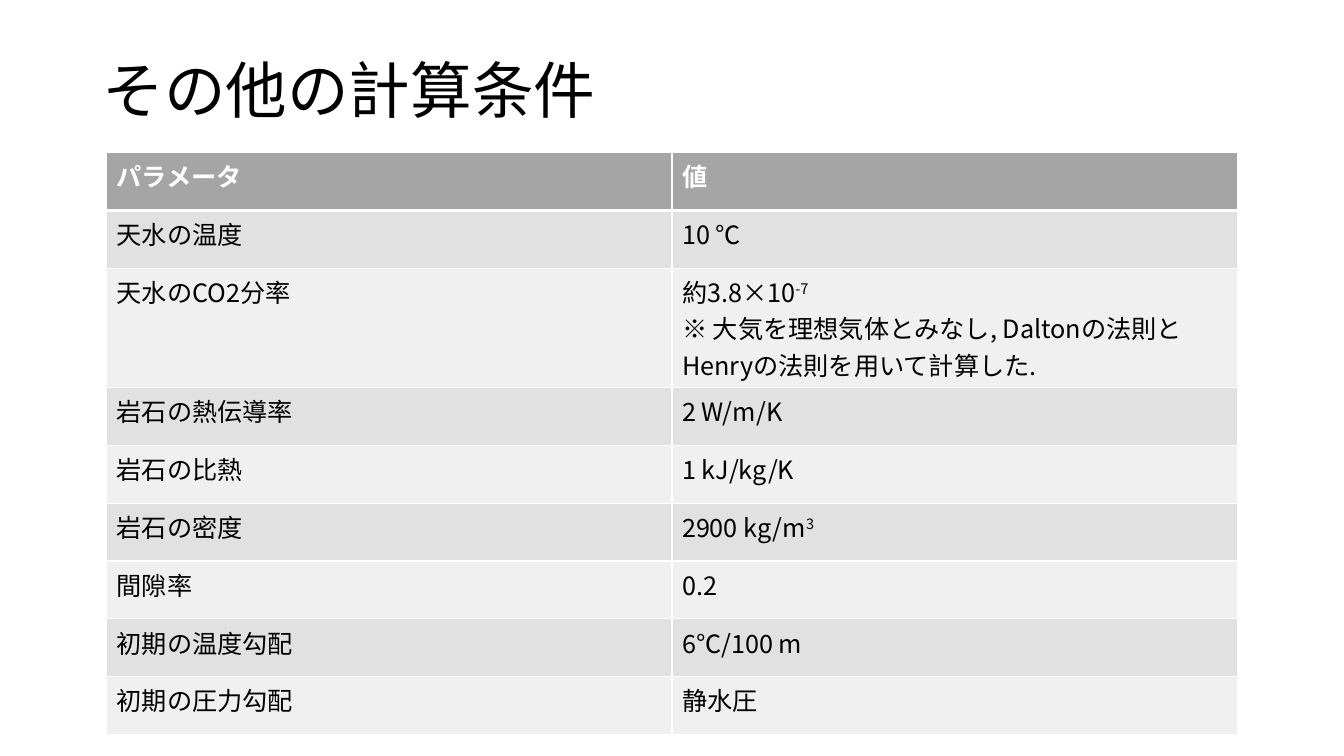
"""Build a slide with a table of the remaining calculation conditions."""
from lxml import etree
from pptx import Presentation
from pptx.dml.color import RGBColor
from pptx.enum.text import MSO_ANCHOR, PP_ALIGN
from pptx.oxml.ns import qn
from pptx.util import Pt

TITLE = "その他の計算条件"
SUPERSCRIPT_MARK = "^"
ROWS = [
    ("パラメータ", ["値"]),
    ("天水の温度", ["10 ℃"]),
    ("天水のCO2分率", [
        "約3.8×10^-7",
        "※ 大気を理想気体とみなし, Daltonの法則とHenryの法則を用いて計算した.",
    ]),
    ("岩石の熱伝導率", ["2 W/m/K"]),
    ("岩石の比熱", ["1 kJ/kg/K"]),
    ("岩石の密度", ["2900 kg/m^3"]),
    ("間隙率", ["0.2"]),
    ("初期の温度勾配", ["6℃/100 m"]),
    ("初期の圧力勾配", ["静水圧"]),
]

FONT = "Noto Sans CJK JP"
BLACK = RGBColor(0x00, 0x00, 0x00)
WHITE = RGBColor(0xFF, 0xFF, 0xFF)
HEADER_GREY = RGBColor(0xA5, 0xA5, 0xA5)
BAND_GREYS = (RGBColor(0xF0, 0xF0, 0xF0), RGBColor(0xE1, 0xE1, 0xE1))
LEFT = PP_ALIGN.LEFT
MIDDLE = MSO_ANCHOR.MIDDLE

TABLE_LEFT, TABLE_TOP = 76.2, 109
COLUMN_WIDTH = 403.8
ROW_HEIGHT, EXTRA_LINE_HEIGHT = 41.3, 29.3


def format_run(run, size, color, bold=False):
    run.font.size = Pt(size)
    run.font.bold = bold
    run.font.color.rgb = color
    run.font.name = FONT
    east_asian = etree.SubElement(run.font._element, qn("a:ea"))
    east_asian.set("typeface", FONT)


def write_paragraph(paragraph, text, color, bold):
    base, _, superscript = text.partition(SUPERSCRIPT_MARK)
    paragraph.text = base
    if superscript:
        raised = paragraph.add_run()
        raised.text = superscript
        raised.font._element.set("baseline", "30000")
    for run in paragraph.runs:
        format_run(run, 18, color, bold)


def set_borders(cell, top, bottom):
    properties = cell._tc.get_or_add_tcPr()
    widths = {"a:lnL": 1, "a:lnR": 1, "a:lnT": top, "a:lnB": bottom}
    for position, (tag, width) in enumerate(widths.items()):
        line = etree.Element(qn(tag), w=str(Pt(width)))
        fill = etree.SubElement(line, qn("a:solidFill"))
        etree.SubElement(fill, qn("a:srgbClr"), val=str(WHITE))
        properties.insert(position, line)


def fill_cell(cell, lines, row_index):
    header = row_index == 0
    cell.fill.solid()
    cell.fill.fore_color.rgb = HEADER_GREY if header else BAND_GREYS[row_index % 2]
    set_borders(cell, 3 if row_index == 1 else 1, 3 if header else 1)
    cell.text_frame.text = "\n".join(lines)
    for paragraph, text in zip(cell.text_frame.paragraphs, lines):
        write_paragraph(paragraph, text, WHITE if header else BLACK, header)


def add_title(slide):
    title = slide.shapes.title
    title.left, title.top, title.width, title.height = Pt(66), Pt(28.75), Pt(828), Pt(75.6)
    title.text_frame.text = TITLE
    title.text_frame.vertical_anchor = MIDDLE
    paragraph = title.text_frame.paragraphs[0]
    paragraph.alignment = LEFT
    paragraph.line_spacing = 0.9
    format_run(paragraph.runs[0], 44, BLACK)


def add_conditions_table(slide):
    heights = [ROW_HEIGHT + EXTRA_LINE_HEIGHT * (len(lines) - 1) for _, lines in ROWS]
    table = slide.shapes.add_table(
        len(ROWS), 2, Pt(TABLE_LEFT), Pt(TABLE_TOP), Pt(2 * COLUMN_WIDTH), Pt(sum(heights))
    ).table
    for column in table.columns:
        column.width = Pt(COLUMN_WIDTH)
    for row_index, (parameter, value_lines) in enumerate(ROWS):
        table.rows[row_index].height = Pt(heights[row_index])
        fill_cell(table.cell(row_index, 0), [parameter], row_index)
        fill_cell(table.cell(row_index, 1), value_lines, row_index)


def main():
    presentation = Presentation()
    presentation.slide_width, presentation.slide_height = Pt(960), Pt(540)
    slide = presentation.slides.add_slide(presentation.slide_layouts[5])
    add_title(slide)
    add_conditions_table(slide)
    presentation.save("out.pptx")


if __name__ == "__main__":
    main()
